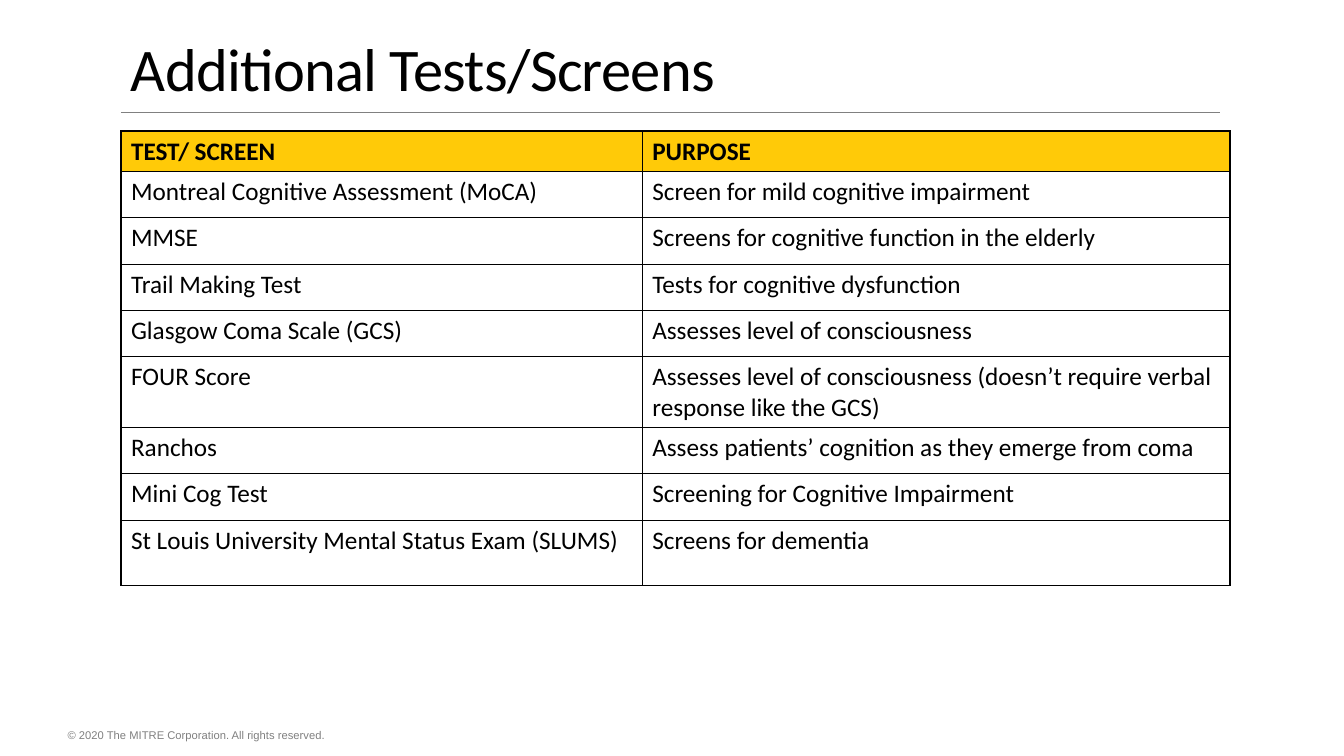
import pptx
import pptx.util
import pptx.dml.color
import pptx.enum.shapes
import pptx.enum.text
import pptx.oxml
import pptx.oxml.ns
from dataclasses import dataclass

TITLE = "Additional Tests/Screens"
COPYRIGHT = "© 2020 The MITRE Corporation. All rights reserved."
HEADINGS = ("TEST/ SCREEN", "PURPOSE")
TESTS = [
    ("Montreal Cognitive Assessment (MoCA)", "Screen for mild cognitive impairment"),
    ("MMSE", "Screens for cognitive function in the elderly"),
    ("Trail Making Test", "Tests for cognitive dysfunction"),
    ("Glasgow Coma Scale (GCS)", "Assesses level of consciousness"),
    ("FOUR Score", "Assesses level of consciousness (doesn’t require verbal response like the GCS)"),
    ("Ranchos", "Assess patients’ cognition as they emerge from coma"),
    ("Mini Cog Test", "Screening for Cognitive Impairment"),
    ("St Louis University Mental Status Exam (SLUMS)", "Screens for dementia"),
]


@dataclass(frozen=True)
class Theme:
    ink: str = "000000"
    muted: str = "808080"
    heading_fill: str = "FFCA08"
    body_font: str = "Calibri"
    footer_font: str = "Arial"
    title_size: float = 43.2
    table_size: float = 18
    footer_size: float = 8
    rule_width: float = 0.5
    border_width: float = 1


THEME = Theme()
Inches, Pt = pptx.util.Inches, pptx.util.Pt
WIDTH, HEIGHT = 13.33, 7.5
LEFT, CONTENT_WIDTH = 1.2, 11
COLUMN_SHARES = (0.47, 0.53)
HEADING_ROW, TEST_ROW, LAST_ROW = 0.38, 0.46, 0.65
ROW_HEIGHTS = [HEADING_ROW] + [TEST_ROW] * (len(TESTS) - 1) + [LAST_ROW]


def rgb(value):
    return pptx.dml.color.RGBColor.from_string(value)


def write(frame, text, name, size, color, bold=False):
    paragraph = frame.paragraphs[0]
    run = paragraph.add_run()
    run.text = text
    for key, value in {"name": name, "size": Pt(size), "bold": bold}.items():
        setattr(run.font, key, value)
    run.font.color.rgb = rgb(color)
    return paragraph


def add_text(slide, box, anchor, **text_format):
    frame = slide.shapes.add_textbox(*map(Inches, box)).text_frame
    frame.word_wrap = True
    frame.vertical_anchor = anchor
    return frame, write(frame, **text_format)


def add_borders(cell):
    properties = cell._tc.get_or_add_tcPr()
    for position, side in enumerate(("lnL", "lnR", "lnT", "lnB")):
        border = pptx.oxml.parse_xml(
            f'<a:{side} {pptx.oxml.ns.nsdecls("a")} w="{Pt(THEME.border_width)}">'
            f'<a:solidFill><a:srgbClr val="{THEME.ink}"/></a:solidFill></a:{side}>')
        properties.insert(position, border)


def add_title(slide):
    _, heading = add_text(
        slide, (LEFT, 0.31, CONTENT_WIDTH, 0.77), pptx.enum.text.MSO_ANCHOR.BOTTOM,
        text=TITLE, name=THEME.body_font, size=THEME.title_size, color=THEME.ink)
    heading.line_spacing = 0.85
    heading.runs[0].font._element.set("spc", "-50")

    rule = slide.shapes.add_connector(
        pptx.enum.shapes.MSO_CONNECTOR.STRAIGHT,
        *map(Inches, (LEFT, 1.11, 12.1, 1.11)))
    rule.line.color.rgb = rgb(THEME.muted)
    rule.line.width = Pt(THEME.rule_width)
    rule._element.spPr.append(pptx.oxml.parse_xml(
        f'<a:effectLst {pptx.oxml.ns.nsdecls("a")}/>'))


def add_tests(slide):
    rows = [HEADINGS] + TESTS
    table = slide.shapes.add_table(
        len(rows), len(HEADINGS),
        *map(Inches, (LEFT, 1.3, CONTENT_WIDTH, sum(ROW_HEIGHTS)))).table
    table.horz_banding = False
    table.first_row = False
    for column, share in zip(table.columns, COLUMN_SHARES):
        column.width = Inches(CONTENT_WIDTH * share)
    for row, height in zip(table.rows, ROW_HEIGHTS):
        row.height = Inches(height)
    for r, texts in enumerate(rows):
        is_heading = r == 0
        for c, text in enumerate(texts):
            cell = table.cell(r, c)
            write(cell.text_frame, text, THEME.body_font, THEME.table_size,
                  THEME.ink, bold=is_heading)
            if is_heading:
                cell.fill.solid()
                cell.fill.fore_color.rgb = rgb(THEME.heading_fill)
            else:
                cell.fill.background()
            add_borders(cell)


def add_footer(slide):
    frame, _ = add_text(
        slide, (0.67, 7.18, 8.24, 0.22), pptx.enum.text.MSO_ANCHOR.MIDDLE,
        text=COPYRIGHT, name=THEME.footer_font, size=THEME.footer_size, color=THEME.muted)
    for side in ("left", "right", "top", "bottom"):
        setattr(frame, f"margin_{side}", 0)


def main():
    deck = pptx.Presentation()
    deck.slide_width, deck.slide_height = Inches(WIDTH), Inches(HEIGHT)
    slide = deck.slides.add_slide(deck.slide_layouts[6])
    add_title(slide)
    add_tests(slide)
    add_footer(slide)
    deck.save("out.pptx")


if __name__ == "__main__":
    main()
